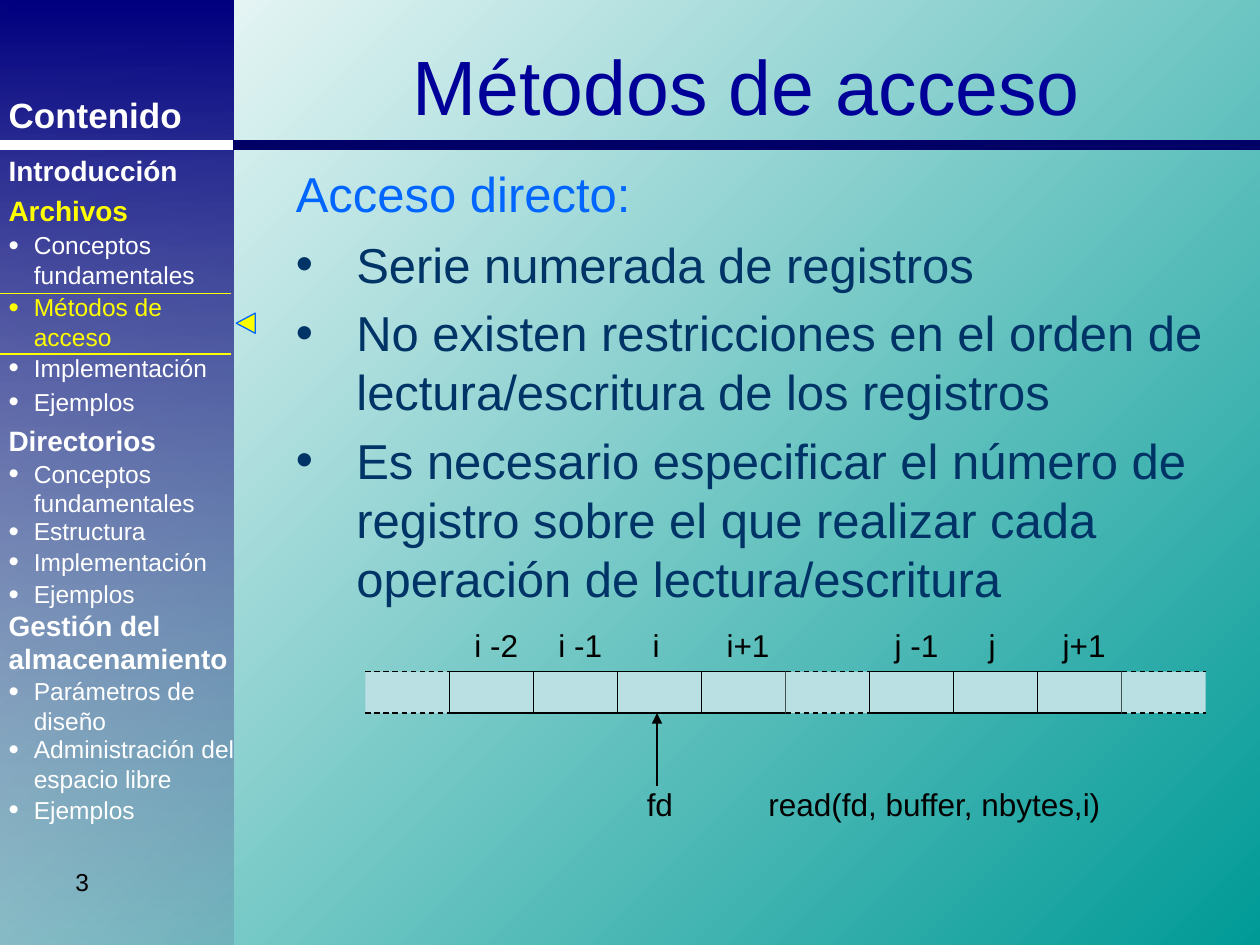
from dataclasses import dataclass

import pptx
import pptx.util
from pptx.dml.color import RGBColor
from pptx.enum.dml import MSO_LINE
from pptx.enum.shapes import MSO_CONNECTOR, MSO_SHAPE
from pptx.enum.text import MSO_ANCHOR, PP_ALIGN
from pptx.oxml.ns import qn
from lxml import etree

Inches, Pt = pptx.util.Inches, pptx.util.Pt


@dataclass(frozen=True)
class Theme:
    font: str = "Arial"
    black: str = "000000"
    white: str = "FFFFFF"
    yellow: str = "FFFF00"
    teal: str = "009A96"
    navy: str = "000080"
    slate: str = "545490"
    rule: str = "000066"
    title: str = "000099"
    lead: str = "0066FF"
    body: str = "003366"
    cell: str = "BBE0E3"
    title_size: int = 44
    body_size: int = 28
    heading_size: int = 20
    label_size: int = 18
    section_size: int = 16
    item_size: int = 14


T = Theme()


def rgb(color):
    return RGBColor.from_string(color)


def set_gradient(fill, colors, angle):
    fill.gradient()
    fill.gradient_angle = angle
    for stop, color, position in zip(fill.gradient_stops, colors, (0, 1)):
        stop.color.rgb = rgb(color)
        stop.position = position


def add_text(s, box, lines, size, color, bold=False, indent=0, bullet=None,
             align=PP_ALIGN.LEFT, anchor=MSO_ANCHOR.TOP, wrap=True):
    tf = s.shapes.add_textbox(*map(Inches, box)).text_frame
    tf.word_wrap = wrap
    tf.vertical_anchor = anchor
    for i, line in enumerate(lines):
        p = tf.add_paragraph() if i else tf.paragraphs[0]
        p.alignment = align
        if i:
            p.space_before = Pt(0.2 * size)
        if bullet:
            pPr = p._p.get_or_add_pPr()
            pPr.set("marL", str(Inches(indent)))
            pPr.set("indent", str(-Inches(indent)))
            etree.SubElement(pPr, qn("a:buSzPct"), val=str(bullet * 1000))
            etree.SubElement(pPr, qn("a:buFont"), typeface=T.font)
            etree.SubElement(pPr, qn("a:buChar"), char="•")
        r = p.add_run()
        r.text = line
        r.font.name, r.font.size, r.font.bold = T.font, Pt(size), bold
        r.font.color.rgb = rgb(color)


def add_line(s, x1, y1, x2, y2, color, width=0.75, dash=False, arrow=False):
    c = s.shapes.add_connector(MSO_CONNECTOR.STRAIGHT, *map(Inches, (x1, y1, x2, y2)))
    c.line.color.rgb = rgb(color)
    c.line.width = Pt(width)
    if dash:
        c.line.dash_style = MSO_LINE.DASH
    if arrow:
        etree.SubElement(c.line._get_or_add_ln(), qn("a:tailEnd"), type="triangle")
    etree.SubElement(c._element.spPr, qn("a:effectLst"))


def add_box(s, kind, box, fill=None, line=None):
    sp = s.shapes.add_shape(kind, *map(Inches, box))
    sp.shadow.inherit = False
    if fill:
        sp.fill.solid()
        sp.fill.fore_color.rgb = rgb(fill)
    if line:
        sp.line.color.rgb = rgb(line)
        sp.line.width = Pt(0.75)
    else:
        sp.line.fill.background()
    return sp


def add_frame(s, left, rule_y, width, height):
    """Background, side panel and the rule under the title."""
    set_gradient(s.background.fill, (T.white, T.teal), 315)
    panel = add_box(s, MSO_SHAPE.RECTANGLE, (0, 0, left, height))
    set_gradient(panel.fill, (T.navy, T.slate), 270)
    end = panel.fill._xPr.findall(".//" + qn("a:srgbClr"))[-1]
    etree.SubElement(end, qn("a:alpha"), val="19000")
    add_line(s, left, rule_y, width, rule_y, T.rule, 6)
    add_line(s, 0, rule_y, left, rule_y, T.white, 6)


def add_contents(s, left, width):
    """Side index: sections in bold, topics bulleted, current ones in yellow."""
    add_text(s, (left, 0.69, 1.65, 0.43), ["Contenido"], T.heading_size, T.white, bold=True)
    sections = [
        (1.17, "Introducción", []),
        (1.49, "Archivos", [(1.78, "Conceptos fundamentales"), (2.27, "Métodos de acceso"),
                            (2.75, "Implementación"), (3.02, "Ejemplos")]),
        (3.31, "Directorios", [(3.59, "Conceptos fundamentales"), (4.05, "Estructura"),
                               (4.29, "Implementación"), (4.55, "Ejemplos")]),
        (4.78, "Gestión del almacenamiento", [(5.32, "Parámetros de diseño"),
                                              (5.78, "Administración del espacio libre"),
                                              (6.26, "Ejemplos")]),
    ]
    current = ("Archivos", "Métodos de acceso")
    for top, section, topics in sections:
        color = T.yellow if section in current else T.white
        add_text(s, (left, top, width + 0.2, 0.37), [section], T.section_size, color, bold=True)
        for y, topic in topics:
            color = T.yellow if topic in current else T.white
            add_text(s, (left, y, width, 0.33), [topic], T.item_size, color,
                     indent=0.2, bullet=120)
    # Marks around the current topic
    for y in (2.33, 2.81):
        add_line(s, left, y, left + 1.86, y, T.yellow)
    marker = add_box(s, MSO_SHAPE.ISOSCELES_TRIANGLE, (1.87, 2.49, 0.16, 0.15), T.yellow, T.lead)
    marker.rotation = 270
    add_text(s, (0.5, 6.83, 2.33, 0.52), ["3"], T.item_size, T.black)


def add_body(s, left, top, width):
    add_text(s, (left, top, width, 0.61), ["Acceso directo:"], T.body_size, T.lead)
    points = [
        "Serie numerada de registros",
        "No existen restricciones en el orden de lectura/escritura de los registros",
        "Es necesario especificar el número de registro sobre el que realizar cada "
        "operación de lectura/escritura",
    ]
    add_text(s, (left, top + 0.56, width + 0.1, 3.04), points, T.body_size, T.body,
             indent=0.48, bullet=100)


def add_records(s, left, top, width, height):
    """Row of numbered records; None stands for the omitted stretches."""
    records = [None, "i -2", "i -1", "i", "i+1", None, "j -1", "j", "j+1", None]
    cell = width / len(records)
    bottom = top + height
    for n, label in enumerate(records):
        x = left + n * cell
        add_box(s, MSO_SHAPE.RECTANGLE, (x, top, cell, height), T.cell, T.black if label else None)
        if label:
            inset, w = (0.18, 0.33) if len(label) == 1 else (0.1, 0.58)
            add_text(s, (x + inset, top - 0.41, w, 0.4), [label], T.label_size, T.black, wrap=False)
        else:
            for y in (top, bottom):
                add_line(s, x, y, x + cell, y, T.black, dash=True)
    # File pointer and the call that uses it
    pointer = left + 3.47 * cell
    add_line(s, pointer, bottom + 0.58, pointer, bottom, T.black, 1.5, arrow=True)
    for x, w, text in ((pointer - 0.18, 0.42, "fd"), (6, 3.5, "read(fd, buffer, nbytes,i)")):
        add_text(s, (x, bottom + 0.52, w, 0.4), [text], T.label_size, T.black, wrap=False)


def main():
    prs = pptx.Presentation()
    prs.slide_width, prs.slide_height = Inches(10), Inches(7.5)
    s = prs.slides.add_slide(prs.slide_layouts[6])
    add_frame(s, 1.85, 1.15, 10, 7.5)
    add_text(s, (1.85, 0.05, 8.15, 1.25), ["Métodos de acceso"], T.title_size, T.title,
             align=PP_ALIGN.CENTER, anchor=MSO_ANCHOR.MIDDLE)
    add_body(s, 2.25, 1.25, 7.65)
    add_records(s, 2.9, 5.33, 6.67, 0.33)
    add_contents(s, -0.03, 2.05)
    prs.save("out.pptx")


if __name__ == "__main__":
    main()
